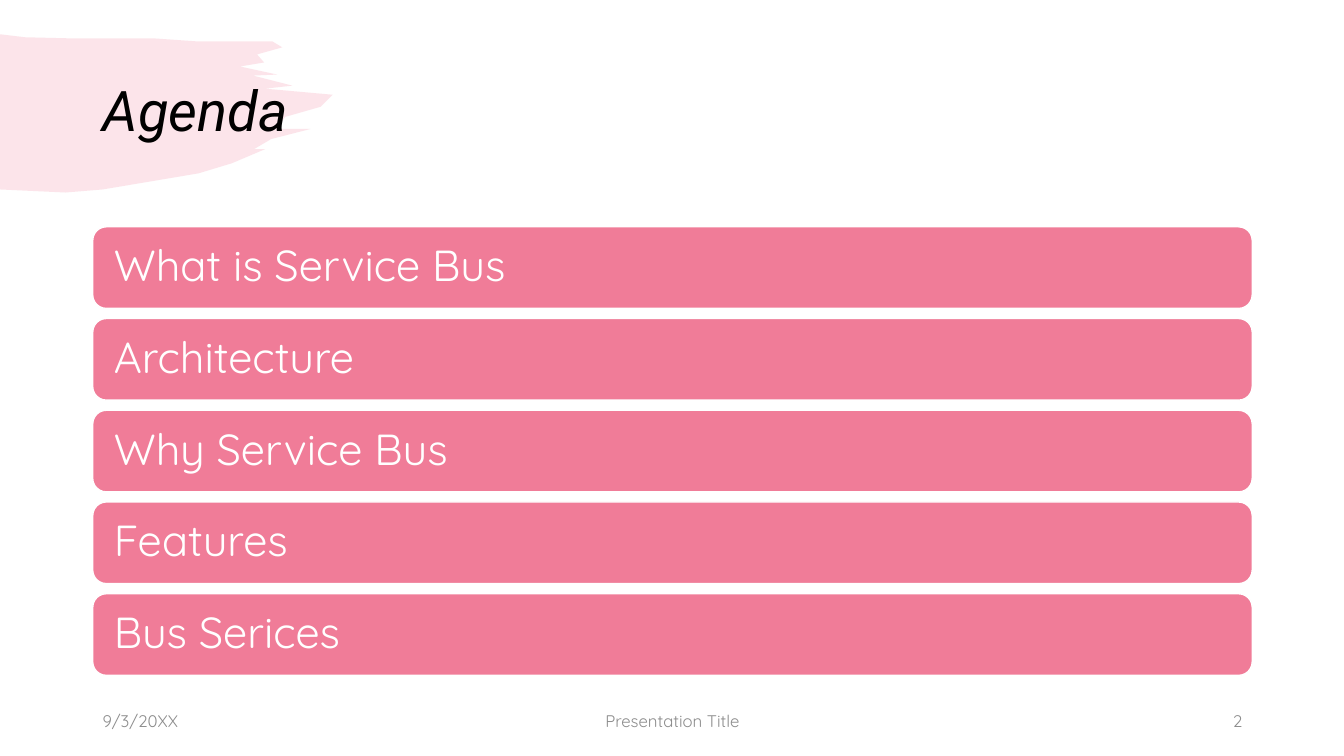
from dataclasses import dataclass

from lxml.etree import SubElement
from pptx import Presentation
from pptx.dml.color import RGBColor as RGB
from pptx.enum.shapes import MSO_SHAPE as Shape
from pptx.enum.text import MSO_ANCHOR as Anchor, MSO_AUTO_SIZE as AutoSize, PP_ALIGN as Align
from pptx.oxml.ns import qn
from pptx.util import Emu, Pt

PX = 9144


@dataclass(frozen=True)
class Theme:
    pink: RGB = RGB.from_string("F07C98")
    white: RGB = RGB.from_string("FFFFFF")
    black: RGB = RGB.from_string("000000")
    grey: RGB = RGB.from_string("8C8C8C")
    brush_alpha: int = 20000
    title_font: str = "Roboto"
    body_font: str = "Quicksand"
    title_size: int = 40
    bar_size: int = 31
    footer_size: int = 12


@dataclass(frozen=True)
class Box:
    x: int
    y: int
    w: int
    h: int

    def emu(self) -> tuple[Emu, ...]:
        return tuple(px(v) for v in (self.x, self.y, self.w, self.h))


@dataclass(frozen=True)
class Footer:
    text: str
    x: int
    w: int
    align: Align


THEME = Theme()
MARGIN = 92
CONTENT_W = 1150
TITLE_BOX = Box(MARGIN, 40, CONTENT_W, 145)
FIRST_BAR = Box(MARGIN, 225, CONTENT_W, 81)
BAR_PITCH = 91
BAR_INSET = 17
FOOTER_TOP = 695
FOOTER_H = 40
AGENDA = ("What is Service Bus", "Architecture", "Why Service Bus", "Features", "Bus Serices")
FOOTERS = (
    Footer("9/3/20XX", MARGIN, 300, Align.LEFT),
    Footer("Presentation Title", 442, 450, Align.CENTER),
    Footer("2", 942, 300, Align.RIGHT),
)
BRUSH_TOP = ((0, 34), (25, 37), (66, 38), (151, 38), (194, 41), (270, 41), (280, 47))
BRUSH_TIP = (
    (255, 54), (262, 62), (238, 66), (275, 74), (251, 75), (290, 85), (263, 88), (330, 94),
    (318, 106), (283, 116), (274, 128), (308, 128), (269, 138), (252, 148), (263, 148),
)
BRUSH_BOTTOM = ((230, 162), (197, 172), (102, 188), (65, 191), (0, 188))


def px(value: int) -> Emu:
    return Emu(value * PX)


def write(shape, text: str, *, font: str, size: int, color: RGB, align: Align = Align.LEFT,
          italic: bool = False, spacing: float = 1.0, after: int = 0) -> None:
    tf = shape.text_frame
    tf.word_wrap = True
    tf.auto_size = AutoSize.NONE
    tf.vertical_anchor = Anchor.MIDDLE
    p = tf.paragraphs[0]
    p.alignment = align
    p.line_spacing = spacing
    p.space_after = Pt(after)
    r = p.add_run()
    r.text = text
    r.font.name = font
    r.font.size = Pt(size)
    r.font.italic = italic
    r.font.color.rgb = color


def add_brush(s) -> None:
    start, *rest = BRUSH_TOP + BRUSH_TIP + BRUSH_BOTTOM
    builder = s.shapes.build_freeform(*start, scale=PX)
    builder.add_line_segments(rest, close=True)
    sp = builder.convert_to_shape()
    sp.shadow.inherit = False
    sp.line.fill.background()
    sp.fill.solid()
    sp.fill.fore_color.rgb = THEME.pink
    color = sp._element.spPr.find(qn("a:solidFill"))[0]
    SubElement(color, qn("a:alpha"), val=str(THEME.brush_alpha))
    s.shapes._spTree.insert(2, sp._element)


def add_title(s, text: str) -> None:
    sp = s.shapes.title
    sp.left, sp.top, sp.width, sp.height = TITLE_BOX.emu()
    write(sp, text, font=THEME.title_font, size=THEME.title_size, color=THEME.black,
          italic=True, spacing=0.9)


def add_bar(s, text: str, box: Box) -> None:
    sp = s.shapes.add_shape(Shape.ROUNDED_RECTANGLE, *box.emu())
    sp.shadow.inherit = False
    sp.fill.solid()
    sp.fill.fore_color.rgb = THEME.pink
    sp.line.color.rgb = THEME.white
    sp.line.width = Pt(1)
    tf = sp.text_frame
    tf.margin_left = tf.margin_right = tf.margin_top = tf.margin_bottom = px(BAR_INSET)
    write(sp, text, font=THEME.body_font, size=THEME.bar_size, color=THEME.white, spacing=0.9)


def add_footer(s, footer: Footer) -> None:
    box = Box(footer.x, FOOTER_TOP, footer.w, FOOTER_H)
    sp = s.shapes.add_textbox(*box.emu())
    write(sp, footer.text, font=THEME.body_font, size=THEME.footer_size, color=THEME.grey,
          align=footer.align, after=6)


def main() -> None:
    prs = Presentation()
    prs.slide_width, prs.slide_height = px(1333), px(750)
    s = prs.slides.add_slide(prs.slide_layouts[5])
    add_brush(s)
    add_title(s, "Agenda")
    for footer in FOOTERS:
        add_footer(s, footer)
    for i, text in enumerate(AGENDA):
        bar = FIRST_BAR
        add_bar(s, text, Box(bar.x, bar.y + i * BAR_PITCH, bar.w, bar.h))
    prs.save("out.pptx")


if __name__ == "__main__":
    main()
